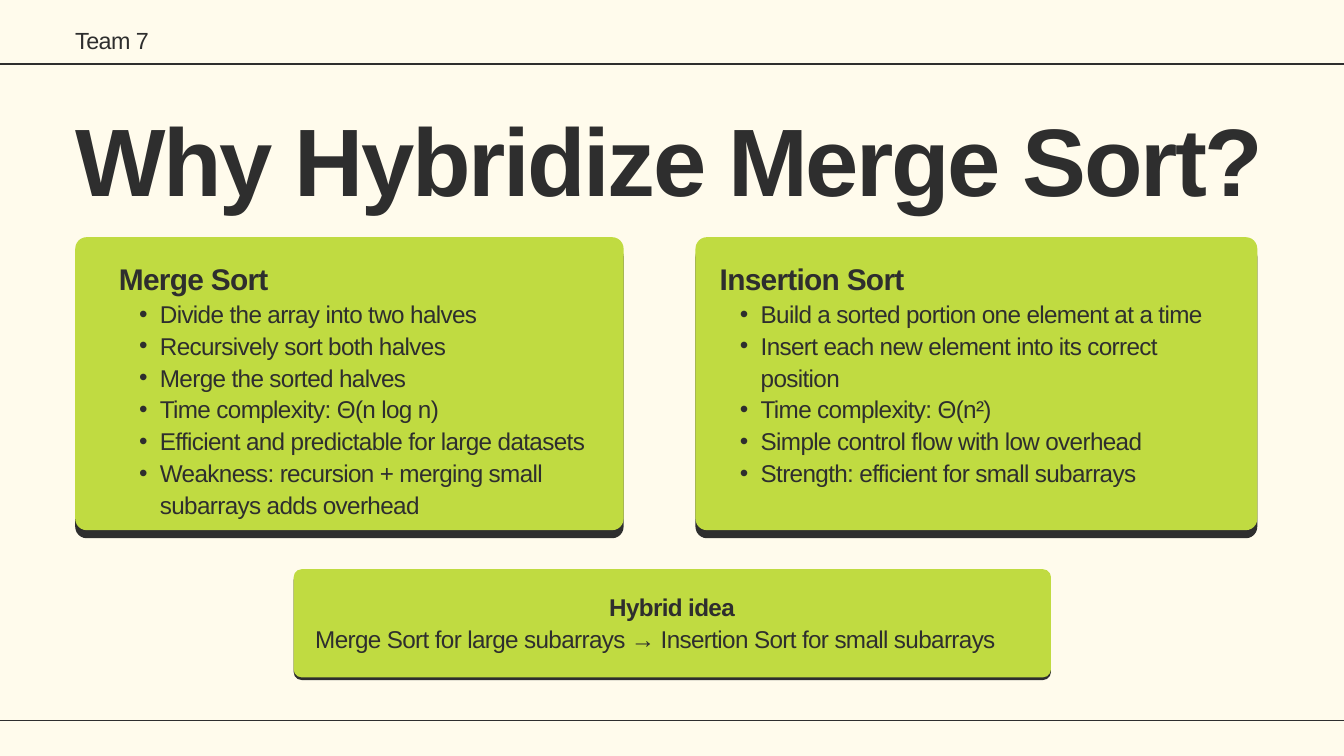
from lxml import etree
from pptx import Presentation
from pptx.dml.color import RGBColor
from pptx.enum import shapes, text
from pptx.oxml.ns import qn
from pptx.util import Inches, Pt

CREAM = RGBColor(0xFF, 0xFB, 0xEC)
INK = RGBColor(0x2E, 0x2E, 0x2E)
LIME = RGBColor(0xC0, 0xDB, 0x41)
WIDTH, HEIGHT = 20, 11.25
MARGIN = 1.12

MERGE_POINTS = [
    "Divide the array into two halves",
    "Recursively sort both halves",
    "Merge the sorted halves",
    "Time complexity: Θ(n log n)",
    "Efficient and predictable for large datasets",
    "Weakness: recursion + merging small subarrays adds overhead",
]
INSERTION_POINTS = [
    "Build a sorted portion one element at a time",
    "Insert each new element into its correct position",
    "Time complexity: Θ(n²)",
    "Simple control flow with low overhead",
    "Strength: efficient for small subarrays",
]


def add_text_box(s, x, y, w, h):
    tf = s.shapes.add_textbox(Inches(x), Inches(y), Inches(w), Inches(h)).text_frame
    tf.word_wrap = True
    tf.margin_left = tf.margin_top = tf.margin_right = tf.margin_bottom = 0
    return tf


def style(p, size, leading, spacing, bold=False):
    """Format a paragraph; leading and letter spacing are in points."""
    p.line_spacing = Pt(leading)
    for r in p.runs:
        r.font.name = "Arial"
        r.font.size = Pt(size)
        r.font.bold = bold
        r.font.color.rgb = INK
        r.font._element.set("spc", str(round(spacing * 100)))


def add_bullet(p):
    p.level = 1
    pPr = p._p.get_or_add_pPr()
    pPr.set("marL", str(Inches(0.61)))
    pPr.set("indent", str(Inches(-0.31)))
    etree.SubElement(pPr, qn("a:buFont")).set("typeface", "Arial")
    etree.SubElement(pPr, qn("a:buChar")).set("char", "•")


def add_rule(s, y):
    line = s.shapes.add_connector(
        shapes.MSO_CONNECTOR.STRAIGHT, 0, Inches(y), Inches(WIDTH), Inches(y))
    line.line.color.rgb = INK
    line.line.width = Pt(1.5)
    etree.SubElement(line._element.spPr, qn("a:effectLst"))


def add_panel(s, x, y, w, h, radius, drop):
    """Lime rounded panel over a dark one that lies lower by drop."""
    group = s.shapes.add_group_shape()
    for top, color in ((y + drop, INK), (y, LIME)):
        sp = group.shapes.add_shape(
            shapes.MSO_SHAPE.ROUNDED_RECTANGLE,
            Inches(x), Inches(top), Inches(w), Inches(h))
        sp.adjustments[0] = radius / h
        sp.fill.solid()
        sp.fill.fore_color.rgb = color
        sp.line.fill.background()
        sp.shadow.inherit = False


def add_header(s):
    p = add_text_box(s, MARGIN, 0.35, 8.16, 0.43).paragraphs[0]
    p.text = "Team 7"
    style(p, 25, 32.7, -0.6)
    add_rule(s, 0.95)


def add_title(s):
    p = add_text_box(s, MARGIN, 1.91, 17.87, 1.39).paragraphs[0]
    p.text = "Why Hybridize Merge Sort?"
    style(p, 102.7, 93.5, -2.6, bold=True)


def add_sort_card(s, x, y, w, h, inset, text_w, heading, points):
    add_panel(s, x, y, w, h, radius=0.17, drop=0.12)
    tf = add_text_box(s, x + inset, y + 0.3, text_w, h - 0.52)
    tf.text = heading
    style(tf.paragraphs[0], 32, 41.9, -0.8, bold=True)
    for point in points:
        p = tf.add_paragraph()
        p.text = point
        add_bullet(p)
        style(p, 26, 34.1, -0.7)


def add_hybrid_card(s, x, y, w, h):
    add_panel(s, x, y, w, h, radius=0.12, drop=0.04)
    tf = add_text_box(s, x + 0.32, y + 0.3, w - 0.65, 0.93)
    heading, idea = tf.paragraphs[0], tf.add_paragraph()
    heading.text = "Hybrid idea"
    heading.alignment = text.PP_ALIGN.CENTER
    idea.text = "Merge Sort for large subarrays → Insertion Sort for small subarrays"
    style(heading, 26, 34.1, -0.7, bold=True)
    style(idea, 26, 34.1, -0.7)


def main():
    prs = Presentation()
    prs.slide_width, prs.slide_height = Inches(WIDTH), Inches(HEIGHT)
    s = prs.slides.add_slide(prs.slide_layouts[6])
    s.background.fill.solid()
    s.background.fill.fore_color.rgb = CREAM

    add_header(s)
    add_title(s)
    add_sort_card(s, MARGIN, 3.53, 8.16, 4.36, 0.65, 7.33, "Merge Sort", MERGE_POINTS)
    add_sort_card(s, 10.35, 3.53, 8.36, 4.36, 0.36, 7.51,
                  "Insertion Sort", INSERTION_POINTS)
    add_hybrid_card(s, 4.37, 8.47, 11.27, 1.61)
    add_rule(s, 10.72)
    prs.save("out.pptx")


if __name__ == "__main__":
    main()
